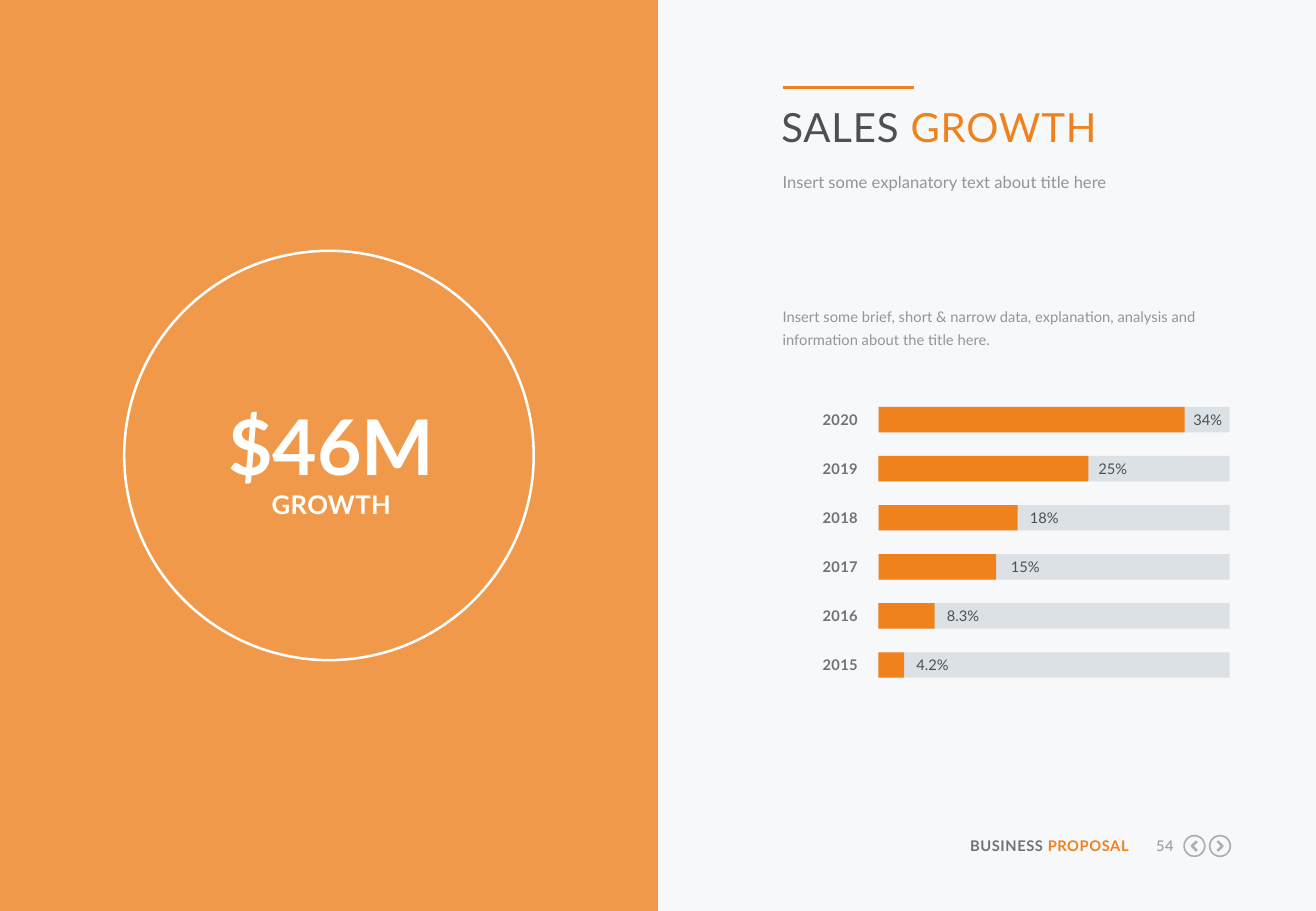
from lxml import etree
from pptx import Presentation
from pptx.dml.color import RGBColor
from pptx.enum.shapes import MSO_CONNECTOR, MSO_SHAPE
from pptx.enum.text import MSO_ANCHOR, MSO_AUTO_SIZE, PP_ALIGN
from pptx.oxml.ns import qn
from pptx.util import Inches, Pt

RECT, OVAL = MSO_SHAPE.RECTANGLE, MSO_SHAPE.OVAL
LINE = MSO_CONNECTOR.STRAIGHT
TOP, FIXED = MSO_ANCHOR.TOP, MSO_AUTO_SIZE.NONE
LEFT, MID, RIGHT = PP_ALIGN.LEFT, PP_ALIGN.CENTER, PP_ALIGN.RIGHT

ORANGE = RGBColor(0xF0, 0x82, 0x1E)
WHITE = RGBColor(0xFF, 0xFF, 0xFF)
PAPER = RGBColor(0xF6, 0xF8, 0xFA)
TRACK = RGBColor(0xDC, 0xE1, 0xE6)
DARK = RGBColor(0x4B, 0x50, 0x50)
SLATE = RGBColor(0x6E, 0x73, 0x78)
GREY = RGBColor(0x91, 0x96, 0x9B)
PALE = RGBColor(0xAA, 0xAF, 0xB4)

FONT = "Lato"
WIDE, HIGH = 10.83, 7.5
SMALL = 8.7
SALES = [
    ("2020", "34%", 0.872, 0.07),
    ("2019", "25%", 0.598, 0.08),
    ("2018", "18%", 0.396, 0.1),
    ("2017", "15%", 0.335, 0.12),
    ("2016", "8.3%", 0.16, 0.1),
    ("2015", "4.2%", 0.073, 0.1),
]


def inch(*nums):
    return [Inches(n) for n in nums]


def write(shape, parts, size, align=LEFT, bold=False, gap=0, lead=None):
    frame = shape.text_frame
    frame.margin_left = frame.margin_right = 0
    frame.margin_top = frame.margin_bottom = 0
    frame.word_wrap = True
    frame.auto_size = FIXED
    frame.vertical_anchor = TOP
    para = frame.paragraphs[0]
    para.alignment = align
    if lead:
        para.line_spacing = lead
    para.font.name = FONT
    para.font.size = Pt(size)
    para.font.bold = bold
    for words, color in parts:
        run = para.add_run()
        run.text = words
        run.font.color.rgb = color
        if gap:
            run._r.get_or_add_rPr().set("spc", str(gap))


def label(slide, box, parts, size, **style):
    write(slide.shapes.add_textbox(*inch(*box)), parts, size, **style)


def block(slide, box, color):
    shape = slide.shapes.add_shape(RECT, *inch(*box))
    shape.shadow.inherit = False
    shape.fill.solid()
    shape.fill.fore_color.rgb = color
    shape.line.fill.background()
    return shape


def ring(slide, box, color, width):
    shape = slide.shapes.add_shape(OVAL, *inch(*box))
    shape.shadow.inherit = False
    shape.fill.background()
    shape.line.color.rgb = color
    shape.line.width = Pt(width)


def panel(slide, box):
    x, y, w, h = box
    fill = block(slide, box, ORANGE).fill
    tone = fill._xPr.find(qn("a:solidFill"))[0]
    etree.SubElement(tone, qn("a:alpha")).set("val", "80000")
    size = 3.37
    mid = x + w / 2
    ring(slide, (mid - size / 2, y + h / 2 - size / 2, size, size), WHITE, 1.5)
    wide = 2.26
    left = mid - wide / 2 + 0.02
    label(slide, (left, y + h * 0.417, wide, 0.92), [("$46M", WHITE)], 45.5,
          align=MID, bold=True, lead=1.2)
    label(slide, (left, y + h * 0.537, wide, 0.26), [("GROWTH", WHITE)], 15.2,
          align=MID, bold=True, gap=20)


def head(slide, box):
    x, y, w, h = box
    rule = slide.shapes.add_connector(LINE, *inch(x, y, x + 1.08, y))
    rule.line.color.rgb = ORANGE
    rule.line.width = Pt(2.25)
    etree.SubElement(rule._element.spPr, qn("a:effectLst"))
    title = slide.shapes.title
    title.left, title.top, title.width, title.height = inch(x - 0.01, y + 0.12, w, 0.4)
    write(title, [("SALES ", DARK), ("GROWTH", ORANGE)], 23.8, gap=50, lead=1.0)
    label(slide, (x, y + 0.69, w, 0.17),
          [("Insert some explanatory text about title here", GREY)], 9.8, lead=Pt(12))
    label(slide, (x, y + h - 0.38, w, 0.38),
          [("Insert some brief, short & narrow data, explanation, "
            "analysis and information about the title here.", GREY)],
          SMALL, lead=1.3)


def bars(slide, box):
    x, y, w, h = box
    tall = 0.21
    step = (h - tall) / (len(SALES) - 1)
    start = x + 0.8
    span = w - 0.8
    for i, (year, value, share, gap) in enumerate(SALES):
        top = y + i * step
        long = span * share
        label(slide, (x, top + 0.03, 0.63, 0.15), [(year, SLATE)], SMALL,
              align=RIGHT, bold=True, gap=20)
        block(slide, (start, top, span, tall), TRACK)
        block(slide, (start, top, long, tall), ORANGE)
        label(slide, (start + long + gap, top + 0.03, 0.29, 0.15),
              [(value, DARK)], SMALL)


def arrow(slide, x, y, way):
    size = 0.17
    ring(slide, (x - size / 2, y - size / 2, size, size), PALE, 1)
    tip, back = x + way * 0.02, x - way * 0.02
    path = slide.shapes.build_freeform(*inch(back, y - 0.04), scale=1.0)
    path.add_line_segments([inch(tip, y), inch(back, y + 0.04)], close=False)
    mark = path.convert_to_shape()
    mark.shadow.inherit = False
    mark.fill.background()
    mark.line.color.rgb = PALE
    mark.line.width = Pt(1.5)


def foot(slide, box):
    x, y, w, h = box
    label(slide, (x, y, 1.37, h), [("BUSINESS ", SLATE), ("PROPOSAL", ORANGE)],
          SMALL, align=RIGHT, bold=True, gap=30)
    label(slide, (x + 1.49, y, 0.25, h), [("54", GREY)], SMALL, align=RIGHT, gap=30)
    for way, back in ((-1, 0.3), (1, 0.09)):
        arrow(slide, x + w - back, y + h / 2, way)


def main():
    deck = Presentation()
    deck.slide_width, deck.slide_height = inch(WIDE, HIGH)
    slide = deck.slides.add_slide(deck.slide_layouts[5])
    slide.background.fill.solid()
    slide.background.fill.fore_color.rgb = PAPER
    panel(slide, (0, 0, WIDE / 2, HIGH))
    head(slide, (6.44, 0.72, 3.69, 2.15))
    bars(slide, (6.43, 3.35, 3.69, 2.23))
    foot(slide, (7.92, 6.89, 2.21, 0.15))
    deck.save("out.pptx")


if __name__ == "__main__":
    main()
